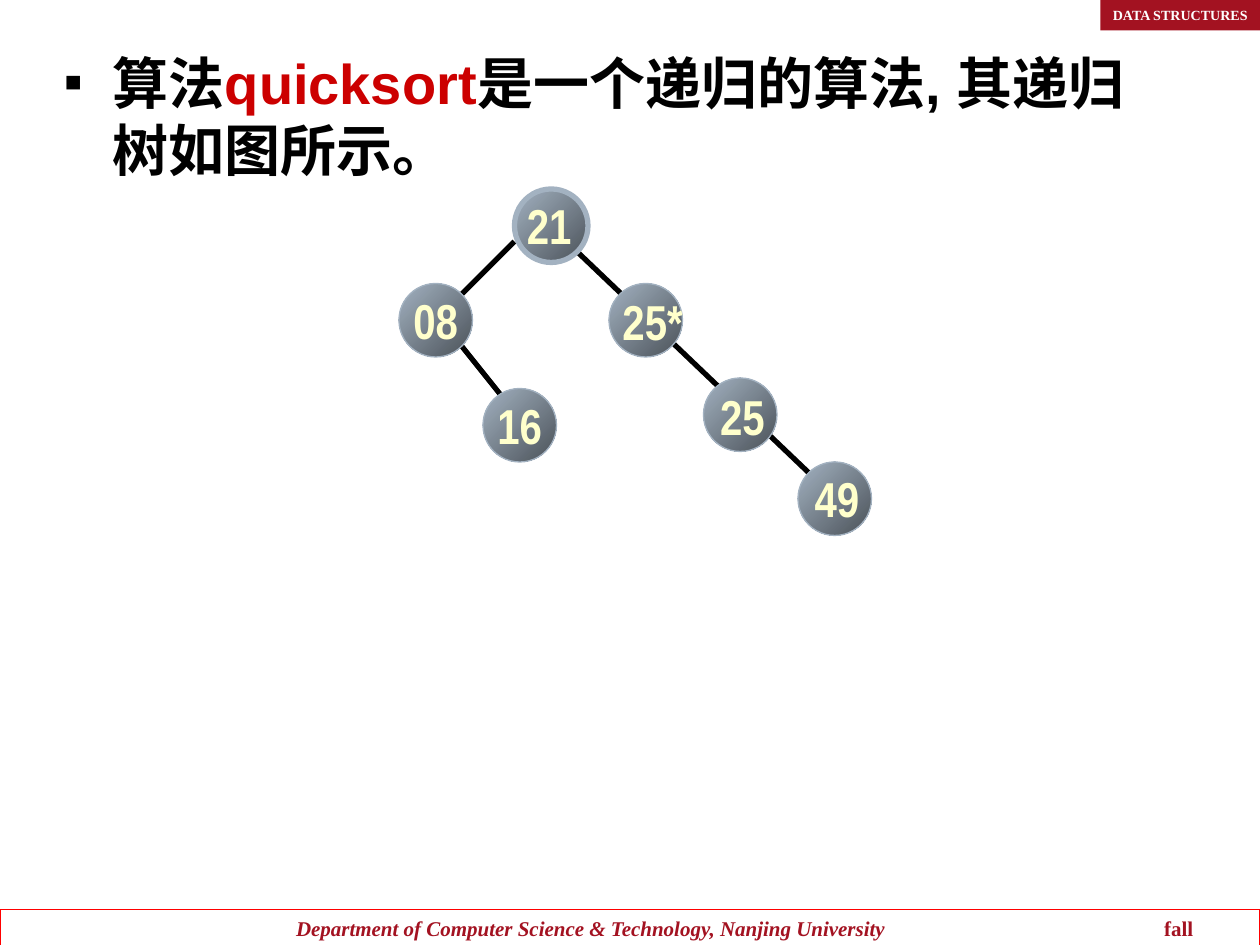
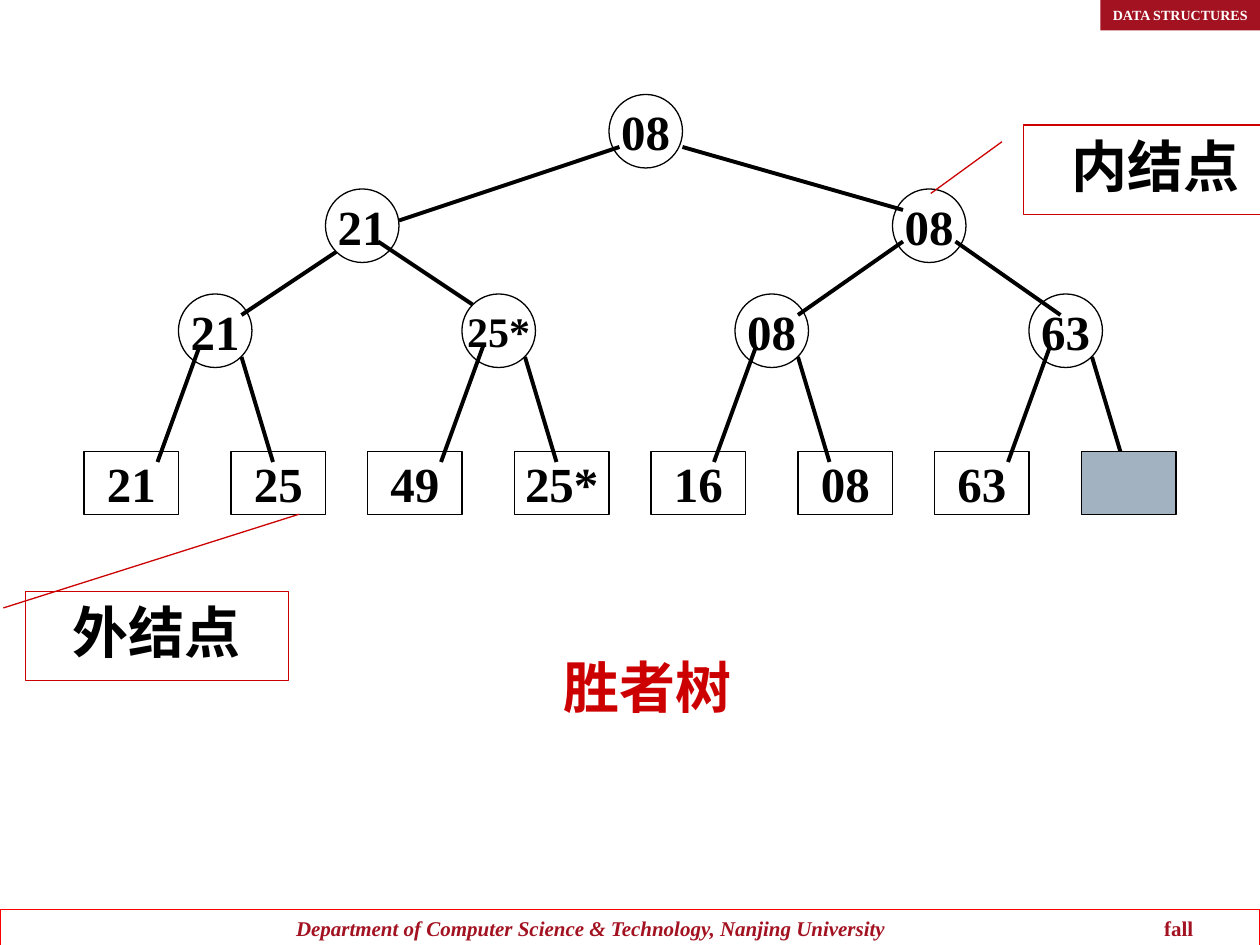
from dataclasses import dataclass, field
from itertools import chain

from lxml.etree import SubElement
from pptx import Presentation
from pptx.dml.color import RGBColor
from pptx.enum.shapes import MSO_CONNECTOR, MSO_SHAPE as SHAPE
from pptx.enum.text import MSO_ANCHOR as ANCHOR, MSO_AUTO_SIZE as AUTO, PP_ALIGN as ALIGN
from pptx.oxml.ns import qn
from pptx.util import Inches, Pt

COLS, ROWS = 120, 90
WIDTH, HEIGHT = Inches(10), Inches(7.5)
BLACK, WHITE, RED, FRAME_RED = "000000", "FFFFFF", "CC0000", "FF0000"
MAROON, STEEL, SLATE, CREAM = "A31221", "A3B2C1", "4B5259", "FFFFCC"
SERIF, SANS, NARROW = "Times New Roman", "Arial", "Arial Narrow"
NODE = 7
LABEL_W, LABEL_H = 9, 6.8
LEAF_W, LEAF_H, LEAF_ROW = 9, 6, 43
MIDDLE = dict(vertical_anchor=ANCHOR.MIDDLE, word_wrap=False)
FIT = dict(word_wrap=False, auto_size=AUTO.SHAPE_TO_FIT_TEXT)


@dataclass
class Style:
    font: str
    size: float
    color: str = BLACK
    italic: bool = False


@dataclass
class Box:
    col: float
    row: float
    w: float = NODE
    h: float = NODE
    kind: SHAPE = SHAPE.OVAL
    fill: tuple = ()
    line: str = ""
    weight: float = 0.75
    runs: list = field(default_factory=list)
    align: ALIGN = ALIGN.CENTER
    frame: dict = field(default_factory=lambda: MIDDLE)
    adjust: tuple = ()


@dataclass
class Edge:
    col1: float
    row1: float
    col2: float
    row2: float


def x(col: float) -> int:
    return round(WIDTH * col / COLS)


def y(row: float) -> int:
    return round(HEIGHT * row / ROWS)


def rgb(value: str) -> RGBColor:
    return RGBColor.from_string(value)


def apply(target, values: dict) -> None:
    for name, value in values.items():
        setattr(target, name, value)


def write(tf, box: Box) -> None:
    apply(tf, {"word_wrap": True, **box.frame})
    p = tf.paragraphs[0]
    p.alignment = box.align
    for text, style in box.runs:
        r = p.add_run()
        r.text = text
        apply(r.font, dict(name=style.font, size=Pt(style.size), bold=True, italic=style.italic))
        r.font.color.rgb = rgb(style.color)


def draw_box(slide, box: Box):
    sp = slide.shapes.add_shape(box.kind, x(box.col), y(box.row), x(box.w), y(box.h))
    sp.shadow.inherit = False
    for i, value in enumerate(box.adjust):
        sp.adjustments[i] = value
    if len(box.fill) == 2:
        sp.fill.gradient()
        sp.fill.gradient_angle = 315
        for stop, color in zip(sp.fill.gradient_stops, box.fill):
            stop.color.rgb = rgb(color)
    elif box.fill:
        sp.fill.solid()
        sp.fill.fore_color.rgb = rgb(box.fill[0])
    else:
        sp.fill.background()
    if box.line:
        sp.line.color.rgb = rgb(box.line)
        sp.line.width = Pt(box.weight)
    else:
        sp.line.fill.background()
    if box.runs:
        write(sp.text_frame, box)
    return sp


def draw_text(slide, box: Box):
    sp = slide.shapes.add_textbox(x(box.col), y(box.row), x(box.w), y(box.h))
    write(sp.text_frame, box)
    return sp


def draw_edge(slide, edge: Edge, weight: float) -> None:
    ends = x(edge.col1), y(edge.row1), x(edge.col2), y(edge.row2)
    line = slide.shapes.add_connector(MSO_CONNECTOR.STRAIGHT, *ends)
    line.line.color.rgb = rgb(BLACK)
    line.line.width = Pt(weight)
    SubElement(line._element.spPr, qn("a:effectLst"))


def add_bullet(p) -> None:
    pPr = p._p.get_or_add_pPr()
    pPr.set("marL", str(Inches(0.38)))
    pPr.set("indent", str(-Inches(0.38)))
    color = SubElement(pPr, qn("a:buClr"))
    SubElement(color, qn("a:srgbClr"), val=BLACK)
    SubElement(pPr, qn("a:buSzPct"), val="50000")
    SubElement(pPr, qn("a:buFont"), typeface=SANS)
    SubElement(pPr, qn("a:buChar"), char="■")


def add_tab(p, position: int) -> None:
    tabs = SubElement(p._p.get_or_add_pPr(), qn("a:tabLst"))
    SubElement(tabs, qn("a:tab"), pos=str(position), algn="l")


def new_slide(prs):
    slide = prs.slides.add_slide(prs.slide_layouts[6])
    footer = draw_box(slide, Box(
        0, 86.6, COLS, 3.6, SHAPE.RECTANGLE, line=FRAME_RED, align=ALIGN.LEFT,
        frame=dict(vertical_anchor=ANCHOR.TOP, margin_left=Inches(2.35)),
        runs=[("Department of Computer Science & Technology, Nanjing University",
               Style(SERIF, 12, MAROON, True)),
              ("\tfall", Style(SERIF, 12, MAROON))]))
    add_tab(footer.text_frame.paragraphs[0], Inches(6.89))
    draw_box(slide, Box(
        104.8, 0, 16, 2.9, SHAPE.RECTANGLE, (MAROON,), align=ALIGN.LEFT,
        frame=dict(vertical_anchor=ANCHOR.TOP),
        runs=[("DATA STRUCTURES", Style(SERIF, 8, WHITE))]))
    return slide


def recursion_tree(prs) -> None:
    slide = new_slide(prs)
    for edge in (Edge(44, 33, 48, 38), Edge(55, 24, 77, 45), Edge(49, 23, 44, 28)):
        draw_edge(slide, edge, 3)
    body = Style(SANS, 32)
    sp = draw_text(slide, Box(
        5, 4, 108, 80, align=ALIGN.LEFT, frame={},
        runs=[("算法", body), ("quicksort", Style(SANS, 32, RED)),
              ("是一个递归的算法, 其递归树如图所示。", body)]))
    add_bullet(sp.text_frame.paragraphs[0])

    number = Style(NARROW, 28, CREAM)
    shade = (STEEL, SLATE)
    for text, col, row in (("08", 38, 27), ("16", 46, 37)):
        draw_box(slide, Box(col, row, fill=shade, line=STEEL, runs=[(text, number)]))
    right_chain = (
        ("21", 49, 18, 0, 0, 3),
        ("25*", 58, 27, 0.1, 0.2, 0.75),
        ("25", 67, 36, 0.4, 0.2, 0.75),
        ("49", 76, 44, 0.4, 0, 0.75),
    )
    for text, col, row, dx, dy, weight in right_chain:
        draw_box(slide, Box(col, row, fill=shade, line=STEEL, weight=weight))
        draw_text(slide, Box(col + dx, row + dy, LABEL_W, LABEL_H, align=ALIGN.LEFT,
                             frame={}, runs=[(text, number)]))


def winner_tree(prs) -> None:
    slide = new_slide(prs)
    inner = (("08", 58, 9), ("21", 31, 18), ("08", 85, 18),
             ("21", 17, 28), ("25*", 44, 28), ("08", 70, 28), ("63", 98, 28))
    upper_edges = (Edge(65, 14, 86, 20), Edge(38, 21, 59, 14), Edge(86, 23, 76, 30),
                   Edge(36, 23, 45, 29), Edge(91, 23, 101, 30), Edge(32, 24, 23, 30))
    leaf_edges = chain.from_iterable(
        (Edge(col + 2, 33, col - 2, 44), Edge(col + 6, 34, col + 9, 44))
        for _, col, _ in inner[3:])
    for edge in chain(upper_edges, leaf_edges):
        draw_edge(slide, edge, 2.25)

    for text, col, row in inner:
        size = 24 if len(text) > 2 else 28
        draw_box(slide, Box(col, row, line=BLACK, runs=[(text, Style(SERIF, size))]))
    for i, text in enumerate(("21", "25", "49", "25*", "16", "08", "63", "")):
        pair, side = divmod(i, 2)
        draw_box(slide, Box(
            8 + 27 * pair + 14 * side, LEAF_ROW, LEAF_W, LEAF_H, SHAPE.RECTANGLE,
            () if text else (STEEL,), BLACK,
            runs=[(text, Style(SERIF, 28))] if text else []))

    draw_text(slide, Box(52.5, 61.6, 18.4, 7.7, align=ALIGN.LEFT, frame=FIT,
                         runs=[("胜者树", Style(SANS, 32, RED))]))
    callouts = (("外结点", 2.4, 56.3, -0.863, 1.04), ("内结点", 97.5, 11.9, 0.768, -0.353))
    for text, col, row, tip_y, tip_x in callouts:
        draw_box(slide, Box(
            col, row, 25.1, 8.5, SHAPE.LINE_CALLOUT_1, line=RED,
            frame=dict(vertical_anchor=ANCHOR.TOP), runs=[(text, Style(SANS, 32))],
            adjust=(0.188, -0.083, tip_y, tip_x)))


def main() -> None:
    prs = Presentation()
    prs.slide_width, prs.slide_height = WIDTH, HEIGHT
    recursion_tree(prs)
    winner_tree(prs)
    prs.save("out.pptx")


if __name__ == "__main__":
    main()
